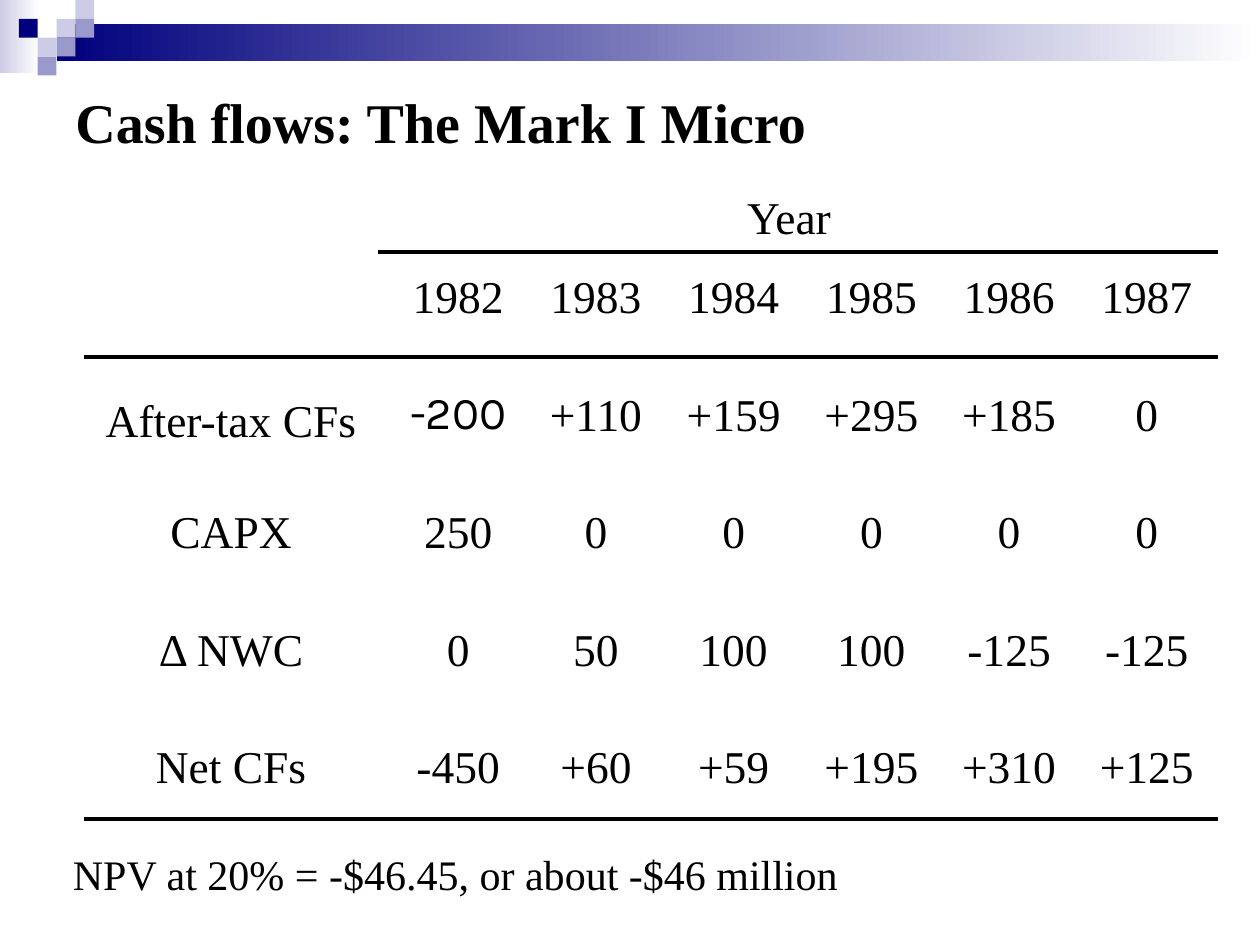
from dataclasses import dataclass

from lxml import etree
from pptx import Presentation
from pptx.dml.color import RGBColor
from pptx.enum.shapes import MSO_CONNECTOR, MSO_SHAPE
from pptx.enum.text import MSO_ANCHOR, PP_ALIGN
from pptx.oxml.ns import qn
from pptx.util import Cm, Pt

RECT = MSO_SHAPE.RECTANGLE
STRAIGHT = MSO_CONNECTOR.STRAIGHT
TOP, MIDDLE, BOTTOM = MSO_ANCHOR.TOP, MSO_ANCHOR.MIDDLE, MSO_ANCHOR.BOTTOM
LEFT, CENTER = PP_ALIGN.LEFT, PP_ALIGN.CENTER


@dataclass(frozen=True)
class Theme:
    navy: RGBColor = RGBColor(0x00, 0x00, 0x7D)
    mid: RGBColor = RGBColor(0x99, 0x99, 0xCC)
    pale: RGBColor = RGBColor(0xCC, 0xCC, 0xE6)
    white: RGBColor = RGBColor(0xFF, 0xFF, 0xFF)
    ink: RGBColor = RGBColor(0x00, 0x00, 0x00)
    font: str = "Times New Roman"
    alt_font: str = "Karla"
    title: Pt = Pt(32)
    body: Pt = Pt(26)
    note: Pt = Pt(24)
    rule: Pt = Pt(2.25)


THEME = Theme()

YEARS = ["1982", "1983", "1984", "1985", "1986", "1987"]
CASH_FLOWS = [
    ["", *YEARS],
    ["After-tax CFs", "-200", "+110", "+159", "+295", "+185", "0"],
    ["CAPX", "250", "0", "0", "0", "0", "0"],
    ["Δ NWC", "0", "50", "100", "100", "-125", "-125"],
    ["Net CFs", "-450", "+60", "+59", "+195", "+310", "+125"],
]


def add_run(tf, text, size, align=LEFT, font=THEME.font, bold=False):
    p = tf.paragraphs[0]
    p.alignment = align
    r = p.add_run()
    r.text = text
    r.font.name, r.font.size, r.font.bold = font, size, bold
    r.font.color.rgb = THEME.ink


def add_text(slide, box, text, size, anchor=TOP, inset=(0.25, 0.13), bold=False):
    sp = slide.shapes.add_textbox(*(Cm(v) for v in box))
    tf = sp.text_frame
    tf.word_wrap = True
    tf.vertical_anchor = anchor
    tf.margin_left = tf.margin_right = Cm(inset[0])
    tf.margin_top = tf.margin_bottom = Cm(inset[1])
    add_run(tf, text, size, bold=bold)


def add_rect(slide, x, y, w, h, color, fade=False):
    sp = slide.shapes.add_shape(RECT, Cm(x), Cm(y), Cm(w), Cm(h))
    sp.shadow.inherit = False
    sp.line.fill.background()
    if fade:
        sp.fill.gradient()
        sp.fill.gradient_angle = 0
        for stop, stop_color in zip(sp.fill.gradient_stops, (color, THEME.white)):
            stop.color.rgb = stop_color
    else:
        sp.fill.solid()
        sp.fill.fore_color.rgb = color


def add_rule(slide, x1, x2, y):
    line = slide.shapes.add_connector(STRAIGHT, Cm(x1), Cm(y), Cm(x2), Cm(y))
    line.line.color.rgb = THEME.ink
    line.line.width = THEME.rule
    etree.SubElement(line._element.spPr, qn("a:effectLst"))


def banner(slide, x, y, w, unit):
    """Fading bars with a stepped pattern of squares on the left."""
    add_rect(slide, x, y, 0.79, 1.47, THEME.pale, fade=True)
    add_rect(slide, x + 3 * unit, y + 0.48, w - 3 * unit, 2 * unit, THEME.navy, fade=True)
    squares = [
        (3, 1, THEME.pale), (4, 0, THEME.pale), (4, 1, THEME.mid),
        (2, 2, THEME.pale), (1, 1, THEME.navy), (3, 2, THEME.mid),
        (2, 3, THEME.mid),
    ]
    for col, row, color in squares:
        add_rect(slide, x + col * unit, y + row * unit, unit, unit, color)


def cash_flow_table(slide, x, y, w, h):
    """Year heading, grid of figures and the three rules."""
    label_w = 6.38
    n_rows, n_cols = len(CASH_FLOWS), len(CASH_FLOWS[0])
    table = slide.shapes.add_table(n_rows, n_cols, Cm(x), Cm(y), Cm(w), Cm(h)).table
    table.first_row = table.horz_banding = False
    for col in range(n_cols):
        table.columns[col].width = Cm((w - label_w) / (n_cols - 1) if col else label_w)

    for row, values in enumerate(CASH_FLOWS):
        table.rows[row].height = Cm(h / n_rows)
        for col, value in enumerate(values):
            cell = table.cell(row, col)
            cell.fill.background()
            cell.vertical_anchor = BOTTOM
            cell.margin_left = cell.margin_right = cell.margin_top = 0
            # The first label sits slightly lower than its figures
            cell.margin_bottom = Cm(1.05 if value == "After-tax CFs" else 1.18)
            if value:
                font = THEME.alt_font if value == "-200" else THEME.font
                add_run(cell.text_frame, value, THEME.body, CENTER, font)

    add_text(slide, (x + 13.34, y - 1.65, 3.18, 1.37), "Year", THEME.body)
    right = x + w + 0.05
    add_rule(slide, x + 6.15, right, y - 0.25)
    add_rule(slide, x + 0.23, right, y + 1.86)
    add_rule(slide, x + 0.23, right, y + 11.18)


def main():
    prs = Presentation()
    prs.slide_width, prs.slide_height = Cm(25.4), Cm(19.05)
    slide = prs.slides.add_slide(prs.slide_layouts[6])

    banner(slide, 0, 0, 25.4, 0.38)
    cash_flow_table(slide, 1.47, 5.33, 23.04, 11.85)
    # Conclusion and title
    add_text(slide, (1.47, 17.1, 23.04, 0.98),
             "NPV at 20% = -$46.45, or about -$46 million", THEME.note, inset=(0, 0))
    add_text(slide, (1.27, 1.27, 22.86, 2.34),
             "Cash flows: The Mark I Micro", THEME.title, MIDDLE, bold=True)

    prs.save("out.pptx")


if __name__ == "__main__":
    main()
